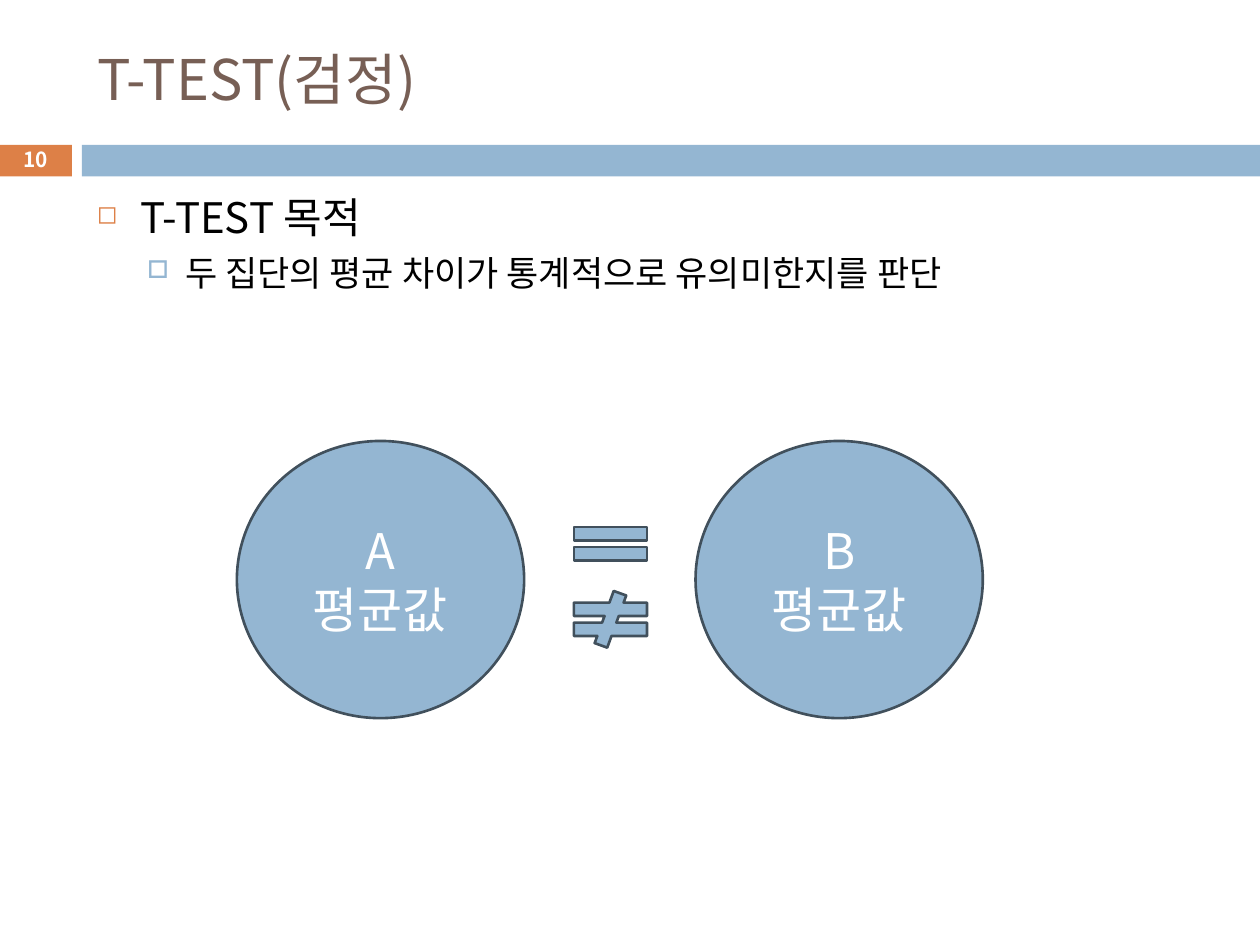
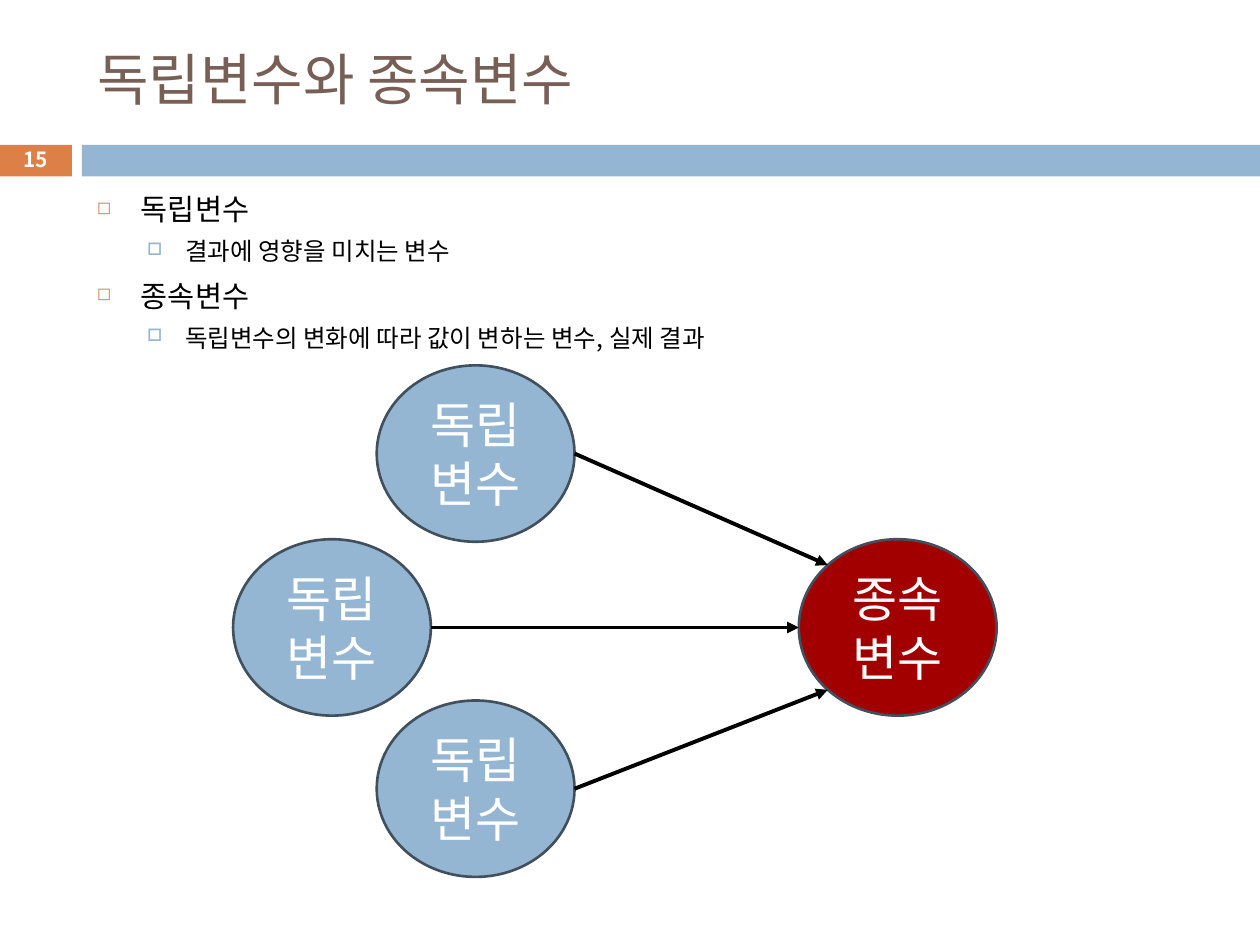
"""Build two statistics slides: the t-test, and independent and dependent variables."""
import math

from lxml import etree
from pptx import Presentation
from pptx.dml.color import RGBColor
from pptx.enum import shapes, text
from pptx.oxml import ns
from pptx.util import Inches, Pt

FONT = "Noto Sans CJK KR"
ORANGE = RGBColor(0xDD, 0x80, 0x47)
BLUE = RGBColor(0x94, 0xB6, 0xD2)
BROWN = RGBColor(0x77, 0x5F, 0x55)
SLATE = RGBColor(0x41, 0x50, 0x5C)
RED = RGBColor(0xA2, 0x00, 0x00)
BLACK = RGBColor(0, 0, 0)
WHITE = RGBColor(0xFF, 0xFF, 0xFF)
BULLETS = (
    dict(character="◻", color=ORANGE, percent=60, margin=0.35, hanging=0.35, before=7),
    dict(character="□", color=BLUE, percent=70, margin=0.7, hanging=0.3, before=5.5),
)
SHAPE = shapes.MSO_SHAPE
ALIGN = text.PP_ALIGN


class Deck:
    def __init__(self):
        self.presentation = Presentation()
        self.presentation.slide_width = Inches(10)
        self.presentation.slide_height = Inches(7.5)
        self.slide = None

    def add_slide(self, title, number):
        layout = self.presentation.slide_layouts[5]
        self.slide = self.presentation.slides.add_slide(layout)
        self.shape(SHAPE.RECTANGLE, -0.01, 1.15, 0.58, 0.25, ORANGE, outlined=False)
        self.shape(SHAPE.RECTANGLE, 0.65, 1.15, 9.35, 0.25, BLUE, outlined=False)
        placeholder = self.slide.shapes.title
        placeholder.left, placeholder.top = Inches(0.67), Inches(0.25)
        placeholder.width, placeholder.height = Inches(8.92), Inches(0.74)
        self.set_text(placeholder, [title], 32, BROWN, ALIGN.LEFT)
        self.set_text(self.text_box(-0.01, 1.13, 0.58, 0.27), [number], 11.9, WHITE, bold=True)

    def text_box(self, left, top, width, height):
        return self.slide.shapes.add_textbox(
            Inches(left), Inches(top), Inches(width), Inches(height))

    def style(self, paragraph, size, color, bold=False):
        for run in paragraph.runs:
            run.font.name = FONT
            run.font.size = Pt(size)
            run.font.color.rgb = color
            run.font.bold = bold
            east_asian = etree.SubElement(run.font._element, ns.qn("a:ea"))
            east_asian.set("typeface", FONT)

    def set_text(self, shape, lines, size, color, alignment=ALIGN.CENTER, bold=False):
        frame = shape.text_frame
        frame.text = "\n".join(lines)
        frame.word_wrap = True
        frame.auto_size = text.MSO_AUTO_SIZE.NONE
        frame.vertical_anchor = text.MSO_ANCHOR.MIDDLE
        for paragraph in frame.paragraphs:
            paragraph.alignment = alignment
            self.style(paragraph, size, color, bold)

    def bullet_list(self, items, sizes):
        frame = self.text_box(0.67, 1.47, 8.92, 1.26).text_frame
        frame.word_wrap = True
        frame.text = "\n".join(line for level, line in items)
        for index, (level, line) in enumerate(items):
            paragraph = frame.paragraphs[index]
            bullet = BULLETS[level]
            paragraph.level = level
            self.add_bullet(paragraph, bullet)
            paragraph.space_before = Pt(bullet["before"] if index else 0)
            self.style(paragraph, sizes[level], BLACK)

    def add_bullet(self, paragraph, bullet):
        properties = paragraph._p.get_or_add_pPr()
        properties.set("marL", str(Inches(bullet["margin"])))
        properties.set("indent", str(-Inches(bullet["hanging"])))
        color = etree.SubElement(properties, ns.qn("a:buClr"))
        etree.SubElement(color, ns.qn("a:srgbClr")).set("val", str(bullet["color"]))
        size = etree.SubElement(properties, ns.qn("a:buSzPct"))
        size.set("val", str(bullet["percent"] * 1000))
        character = etree.SubElement(properties, ns.qn("a:buChar"))
        character.set("char", bullet["character"])

    def shape(self, kind, left, top, width, height, fill=BLUE, outlined=True):
        shape = self.slide.shapes.add_shape(
            kind, Inches(left), Inches(top), Inches(width), Inches(height))
        shape.shadow.inherit = False
        shape.fill.solid()
        shape.fill.fore_color.rgb = fill
        if outlined:
            shape.line.color.rgb = SLATE
            shape.line.width = Pt(1.5)
        else:
            shape.line.fill.background()
        return shape

    def ellipse(self, left, top, width, height, lines, fill=BLUE):
        ellipse = self.shape(SHAPE.OVAL, left, top, width, height, fill)
        self.set_text(ellipse, lines, 28, WHITE)

    def arrow(self, start, end):
        points = [Inches(value) for value in (*start, *end)]
        connector = self.slide.shapes.add_connector(
            shapes.MSO_CONNECTOR.STRAIGHT, *points)
        connector.line.color.rgb = BLACK
        connector.line.width = Pt(2.25)
        line = connector.line._get_or_add_ln()
        etree.SubElement(line, ns.qn("a:tailEnd")).set("type", "triangle")
        etree.SubElement(connector._element.spPr, ns.qn("a:effectLst"))


def build_t_test(deck):
    deck.add_slide("T-TEST(검정)", "10")
    deck.bullet_list([
        (0, "T-TEST 목적"),
        (1, "두 집단의 평균 차이가 통계적으로 유의미한지를 판단"),
    ], (24, 20))
    for group, left in (("A", 1.88), ("B", 5.52)):
        deck.ellipse(left, 3.5, 2.28, 2.2, [group, "평균값"])
    for sign, top in ((SHAPE.MATH_EQUAL, 4.09), (SHAPE.MATH_NOT_EQUAL, 4.69)):
        deck.shape(sign, 4.45, top, 0.79, 0.45)


def build_variables(deck):
    deck.add_slide("독립변수와 종속변수", "15")
    deck.bullet_list([
        (0, "독립변수"),
        (1, "결과에 영향을 미치는 변수"),
        (0, "종속변수"),
        (1, "독립변수의 변화에 따라 값이 변하는 변수, 실제 결과"),
    ], (16.8, 14))
    width, height = 1.57, 1.4
    target_left, target_top = 6.34, 4.28
    deck.ellipse(target_left, target_top, width, height, ["종속", "변수"], RED)
    for left, top, angle in ((2.99, 2.9, 225), (1.85, 4.28, 180), (2.99, 5.56, 135)):
        deck.ellipse(left, top, width, height, ["독립", "변수"])
        radians = math.radians(angle)
        end = (target_left + width / 2 * (1 + math.cos(radians)),
               target_top + height / 2 * (1 + math.sin(radians)))
        deck.arrow((left + width, top + height / 2), end)


def main():
    deck = Deck()
    build_t_test(deck)
    build_variables(deck)
    deck.presentation.save("out.pptx")


if __name__ == "__main__":
    main()
